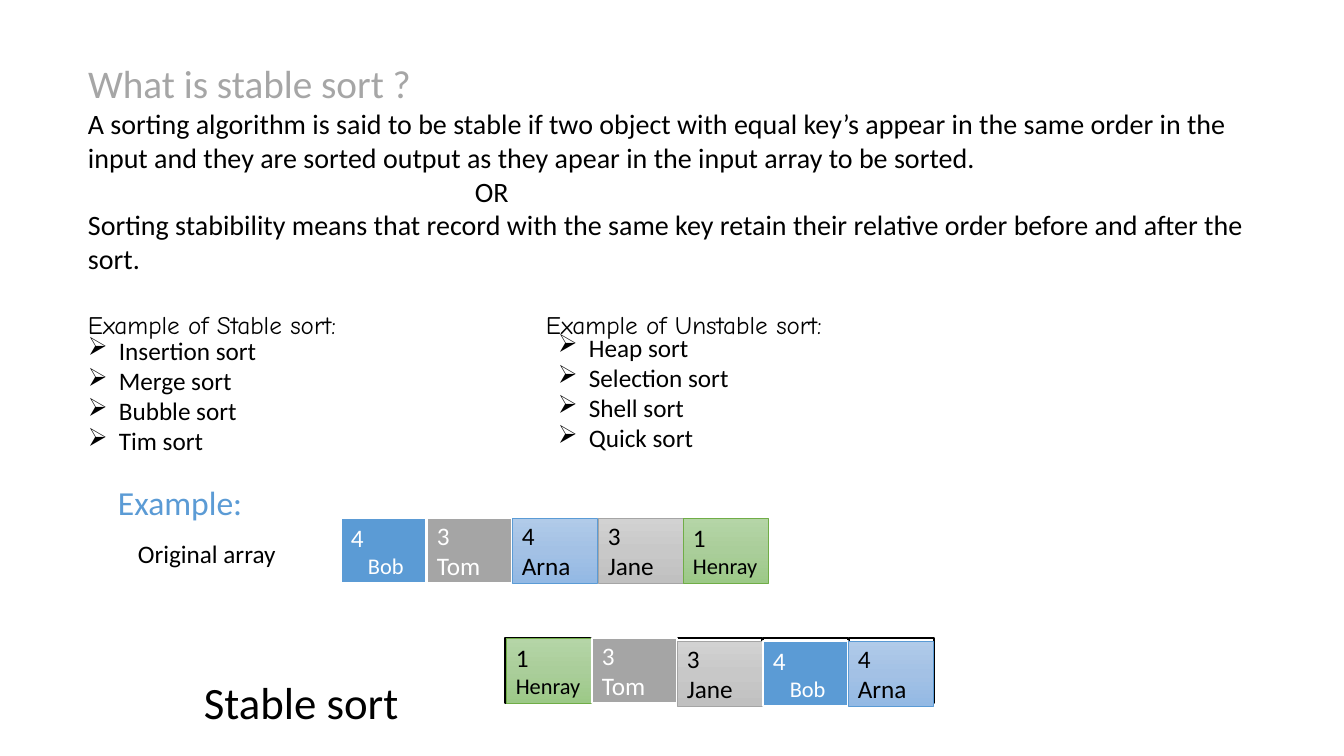
from copy import deepcopy
from pptx import Presentation
from pptx.dml.color import RGBColor
from pptx.enum.shapes import MSO_SHAPE
from pptx.enum.text import MSO_ANCHOR, MSO_AUTO_SIZE, PP_ALIGN
from pptx.oxml import parse_xml
from pptx.oxml.ns import nsdecls, qn
from pptx.util import Pt

SCALE = 914400 / 100.8
COLORS = {
    "black": "000000", "white": "FFFFFF", "title": "A6A6A6",
    "blue": "5B9BD5", "gray": "A5A5A5", "green": "70AD47",
}
# key, name, name size, name indent, fill stops, line, text colour
CELLS = {
    "Bob": ("4", 16, 17, ["5B9BD5"], "white", "white"),
    "Tom": ("3", 18, 0, ["A5A5A5"], "white", "white"),
    "Arna": ("4", 18, 0, ["B1CBE9", "A3C1E5", "93B9E4"], "blue", "black"),
    "Jane": ("3", 18, 0, ["D2D2D2", "C8C8C8", "C0C0C0"], "gray", "black"),
    "Henray": ("1", 16, 0, ["B5D5A7", "AACE9A", "9CC987"], "green", "black"),
}
WIDE, HIGH = 85, 65


def emu(px):
    return round(px * SCALE)


def color(name):
    return RGBColor.from_string(COLORS[name])


def write(para, text, size, tint="black", font="Calibri"):
    para.alignment = PP_ALIGN.LEFT
    para.line_spacing = 1.0
    run = para.add_run()
    run.text = text
    run.font.size = Pt(size)
    run.font.name = font
    run.font.color.rgb = color(tint)


def indent(para, left, first=0):
    props = para._p.get_or_add_pPr()
    props.set("marL", str(emu(left)))
    props.set("indent", str(emu(first)))
    return props


def lines(frame, count):
    return [frame.paragraphs[0]] + [frame.add_paragraph() for _ in range(count - 1)]


def text_box(slide, box):
    frame = slide.shapes.add_textbox(*map(emu, box)).text_frame
    frame.word_wrap = True
    return frame


def label(slide, box, text, size, tint="black", font="Calibri"):
    write(text_box(slide, box).paragraphs[0], text, size, tint, font)


def heading(slide, box):
    title = slide.shapes.title
    title.left, title.top, title.width, title.height = map(emu, box)
    frame = title.text_frame
    frame.auto_size = MSO_AUTO_SIZE.NONE
    frame.vertical_anchor = MSO_ANCHOR.TOP
    write(frame.paragraphs[0], "What is stable sort ?", 28, "title")


def meaning(slide, box):
    texts = [
        "A sorting algorithm is said to be stable if two object with equal "
        "key’s appear in the same order in the input and they are sorted "
        "output as they apear in the input array to be sorted.",
        "OR",
        "Sorting stabibility means that record with the same key retain "
        "their relative order before and after the sort.",
    ]
    paras = lines(text_box(slide, box), len(texts))
    for para, text in zip(paras, texts):
        write(para, text, 20)
    indent(paras[1], 387)


def bullets(slide, box, items):
    for para, item in zip(lines(text_box(slide, box), len(items)), items):
        write(para, item, 18)
        props = indent(para, 31, -31)
        props.append(parse_xml(f'<a:buChar {nsdecls("a")} char="➢"/>'))


def rect(slide, box, line, width):
    shape = slide.shapes.add_shape(MSO_SHAPE.RECTANGLE, *map(emu, box))
    shape.shadow.inherit = False
    shape.line.color.rgb = color(line)
    shape.line.width = Pt(width)
    return shape


def paint(shape, stops):
    if len(stops) == 1:
        shape.fill.solid()
        shape.fill.fore_color.rgb = RGBColor.from_string(stops[0])
        return
    shape.fill.gradient()
    shape.fill.gradient_angle = 270
    group = shape.element.find(".//" + qn("a:gsLst"))
    group.insert(1, deepcopy(group[0]))
    for i, (stop, shade) in enumerate(zip(shape.fill.gradient_stops, stops)):
        stop.color.rgb = RGBColor.from_string(shade)
        stop.position = i / 2


def cell(slide, left, top, name):
    key, size, shift, stops, line, tint = CELLS[name]
    shape = rect(slide, (left, top, WIDE, HIGH), line, 1.5 if line == "white" else 0.5)
    paint(shape, stops)
    frame = shape.text_frame
    frame.word_wrap = True
    frame.vertical_anchor = MSO_ANCHOR.MIDDLE
    first, second = lines(frame, 2)
    write(first, key, 18, tint)
    write(second, name, size, tint)
    indent(second, shift)


def source_row(slide, left, top):
    for i, name in enumerate(CELLS_IN):
        cell(slide, left + round(i * 85.6), top, name)


def sorted_row(slide, left, top):
    # Outlined slots behind the sorted cells
    for i in range(5):
        slot = rect(slide, (left + i * 86, top, WIDE, HIGH), "black", 1)
        paint(slot, [COLORS["white"]])
    for i, name in enumerate(CELLS_OUT):
        cell(slide, left + 1 + round(i * 85.6), top + (3 if i > 1 else 0), name)


CELLS_IN = ["Bob", "Tom", "Arna", "Jane", "Henray"]
CELLS_OUT = ["Henray", "Tom", "Jane", "Bob", "Arna"]

deck = Presentation()
deck.slide_width, deck.slide_height = emu(1344), emu(756)
page = deck.slides.add_slide(deck.slide_layouts[5])

# Definition
heading(page, (78, 54, 1177, 58))
meaning(page, (78, 102, 1177, 181))

# Two lists of sorts
label(page, (78, 304, 400, 39), "Example of Stable sort:", 18, font="Comic Neue")
label(page, (536, 304, 400, 39), "Example of Unstable sort:", 18, font="Comic Neue")
bullets(page, (78, 330, 431, 132),
        ["Insertion sort", "Merge sort", "Bubble sort", "Tim sort"])
bullets(page, (548, 327, 431, 132),
        ["Heap sort", "Selection sort", "Shell sort", "Quick sort"])

# Example arrays
label(page, (108, 477, 233, 50), "Example:", 24, "blue")
label(page, (128, 533, 194, 40), "Original array", 18)
source_row(page, 341, 518)
sorted_row(page, 505, 638)
label(page, (194, 670, 275, 65), "Stable sort", 32)

deck.save("out.pptx")
